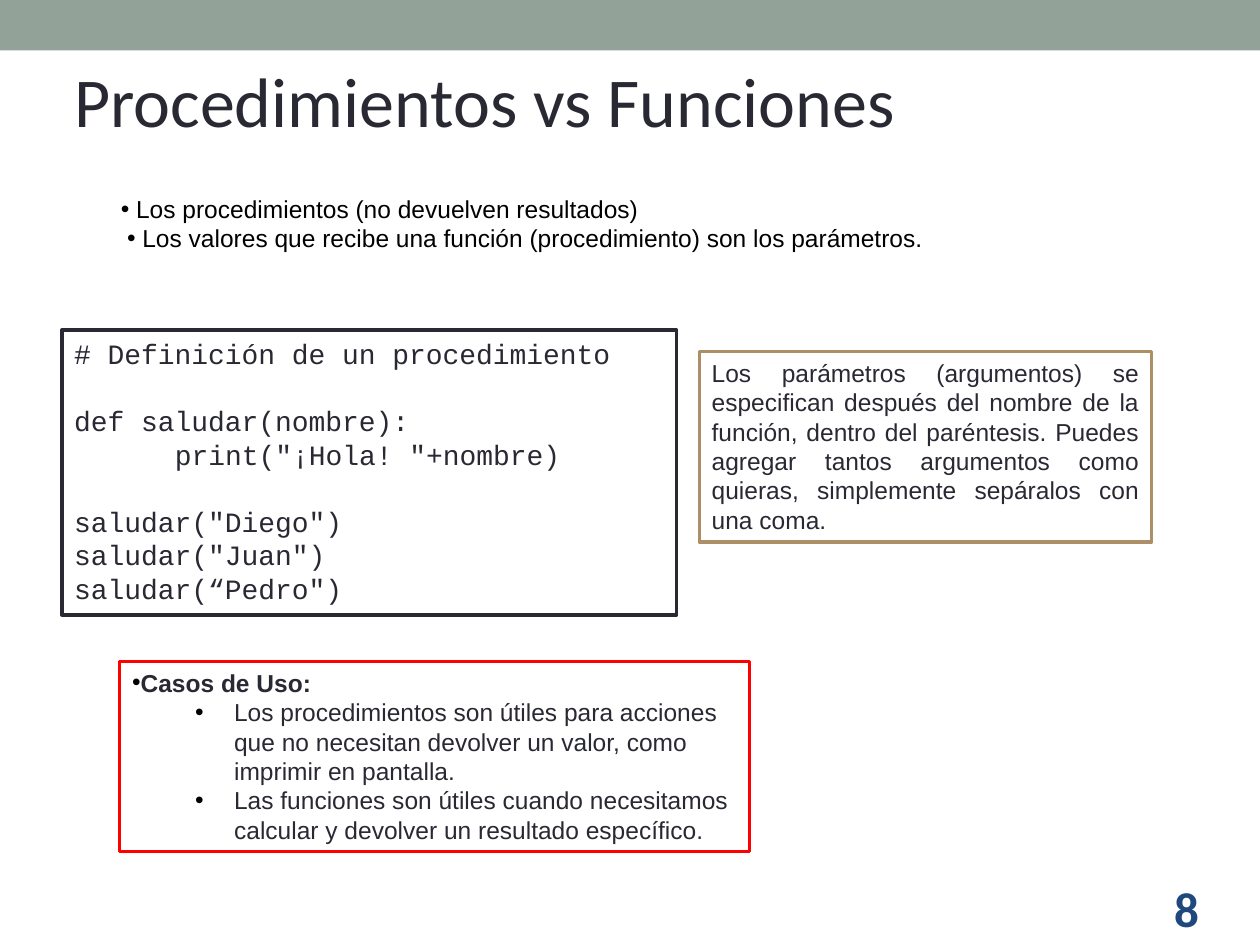
from pptx import Presentation
from pptx import util as u
from pptx.dml.color import RGBColor
from pptx.enum import shapes, text
from pptx.oxml import parse_xml
from pptx.oxml.ns import nsdecls

COLORS = {"ink": "292934", "black": "000000", "white": "FFFFFF", "band": "93A299",
          "tan": "AD8F67", "red": "FF0000", "navy": "1F497D"}


def color(name):
    return RGBColor.from_string(COLORS[name])


class Deck:
    """Holds the style and the current slide."""

    def __init__(self):
        self.prs = Presentation()
        self.prs.slide_width, self.prs.slide_height = u.Inches(10), u.Inches(7.5)
        self.slide = self.prs.slides.add_slide(self.prs.slide_layouts[1])

    def place(self, shape, box):
        shape.left, shape.top, shape.width, shape.height = map(u.Inches, box)

    def bullet(self, para, left, hang):
        props = para._p.get_or_add_pPr()
        props.set("marL", str(u.Inches(left)))
        props.set("indent", str(u.Inches(hang)))
        ns = nsdecls("a")
        for xml in (f'<a:buClr {ns}><a:srgbClr val="{COLORS["black"]}"/></a:buClr>',
                    f'<a:buFont {ns} typeface="Arial"/>',
                    f'<a:buChar {ns} char="•"/>'):
            props.append(parse_xml(xml))

    def fill_text(self, shape, lines, size=14, font="Arial", ink="ink", lead=None,
                  align=text.PP_ALIGN.LEFT):
        """Each line is (words, options): bold, bullet, left, gap."""
        frame = shape.text_frame
        frame.word_wrap = True
        frame.auto_size = text.MSO_AUTO_SIZE.NONE
        frame.vertical_anchor = text.MSO_ANCHOR.TOP
        for i, (words, opts) in enumerate(lines):
            para = frame.add_paragraph() if i else frame.paragraphs[0]
            para.alignment = align
            para.space_before = u.Pt(opts.get("gap", 0))
            if lead:
                para.line_spacing = u.Pt(lead)
            if "bullet" in opts:
                self.bullet(para, *opts["bullet"])
            elif "left" in opts:
                para._p.get_or_add_pPr().set("marL", str(u.Inches(opts["left"])))
            run = para.add_run()
            run.text = words
            run.font.size, run.font.name = u.Pt(size), font
            run.font.bold = opts.get("bold", False)
            run.font.color.rgb = color(ink)

    def holder(self, index, box, lines, **style):
        shape = self.slide.placeholders[index]
        self.place(shape, box)
        self.fill_text(shape, lines, **style)

    def label(self, box, lines, **style):
        shape = self.slide.shapes.add_textbox(*map(u.Inches, box))
        self.fill_text(shape, lines, **style)

    def panel(self, box, fill, line=None, lines=(), **style):
        shape = self.slide.shapes.add_shape(shapes.MSO_SHAPE.RECTANGLE,
                                            *map(u.Inches, box))
        shape.shadow.inherit = False
        shape.fill.solid()
        shape.fill.fore_color.rgb = color(fill)
        if line:
            shape.line.color.rgb = color(line)
            shape.line.width = u.Pt(2)
        else:
            shape.line.fill.background()
        self.fill_text(shape, lines, **style)


deck = Deck()

# Top band, title and page number
deck.panel((0, 0, 10, 0.4), "band")
deck.holder(0, (0.49, 0.41, 9.08, 0.77), [("Procedimientos vs Funciones", {})],
            size=40, font="Calibri")
deck.label((9.22, 6.92, 0.71, 0.57), [("8", {"bold": True})],
           size=28, font="Calibri", ink="navy")

# Opening points
deck.holder(1, (0.86, 1.49, 7.07, 0.57), [
    ("Los procedimientos (no devuelven resultados)", {"bullet": (0.12, -0.12)}),
    ("Los valores que recibe una función (procedimiento) son los parámetros.",
     {"bullet": (0.17, -0.12)}),
], ink="black", lead=16.8)

# Code sample
LEAD = 19.2
deck.panel((0.49, 2.62, 4.88, 2.26), "white", "ink", [
    ("# Definición de un procedimiento", {}),
    ("def saludar(nombre):", {"gap": LEAD}),
    ('print("¡Hola! "+nombre)', {"left": 0.8}),
    ('saludar("Diego")', {"gap": LEAD}),
    ('saludar("Juan")', {}),
    ('saludar(“Pedro")', {}),
], size=16, font="Courier New", lead=LEAD)

# Note on parameters
deck.panel((5.55, 2.79, 3.59, 1.51), "white", "tan", [
    ("Los parámetros (argumentos) se especifican después del nombre de la función, "
     "dentro del paréntesis. Puedes agregar tantos argumentos como quieras, "
     "simplemente sepáralos con una coma.", {}),
], lead=16.8, align=text.PP_ALIGN.JUSTIFY)

# Use cases
SUB = {"bullet": (0.81, -0.31)}
deck.panel((0.95, 5.25, 5, 1.51), "white", "red", [
    ("Casos de Uso:", {"bold": True, "bullet": (0, 0)}),
    ("Los procedimientos son útiles para acciones que no necesitan devolver un "
     "valor, como imprimir en pantalla.", SUB),
    ("Las funciones son útiles cuando necesitamos calcular y devolver un resultado "
     "específico.", SUB),
], lead=16.8)

deck.prs.save("out.pptx")
